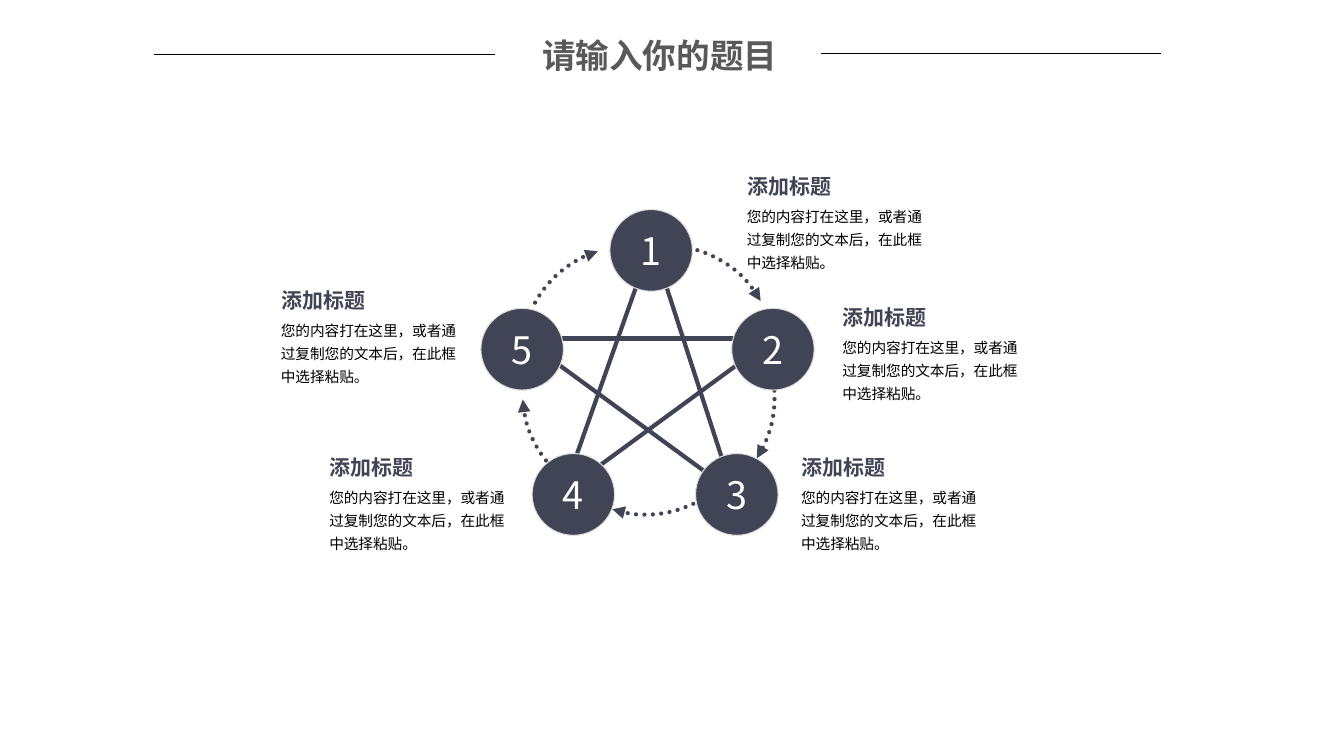
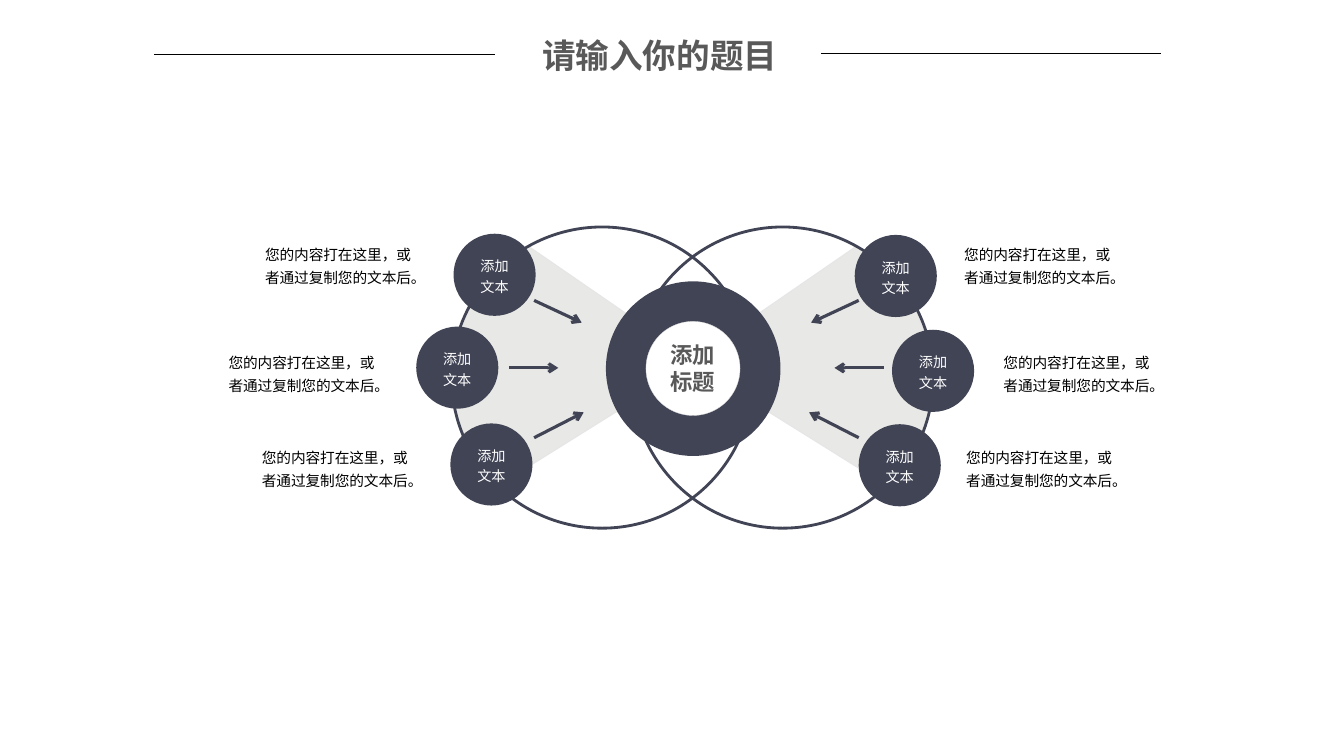
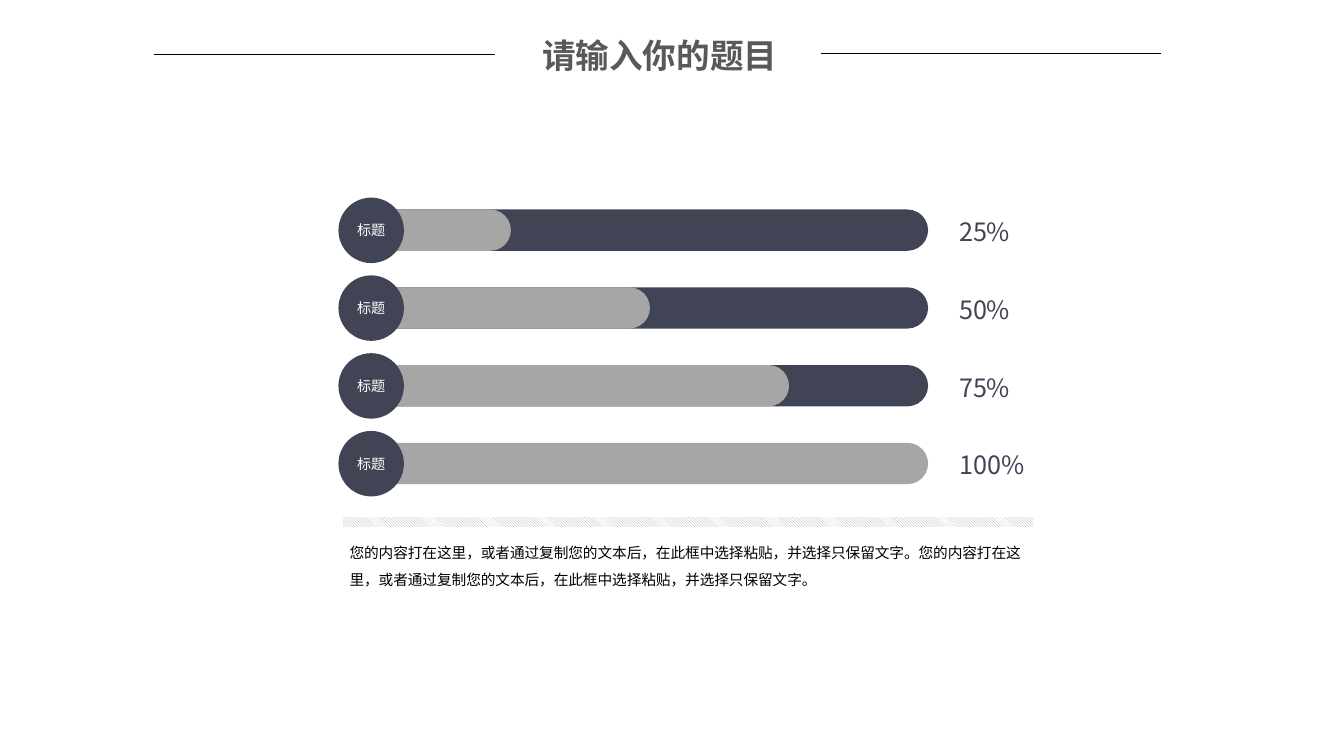
"""Build three diagram slides: a star cycle, two joined rings and progress bars."""
from math import atan2, degrees

from lxml.etree import SubElement
from pptx import Presentation
from pptx.dml.color import RGBColor
from pptx.enum.dml import MSO_LINE, MSO_PATTERN
from pptx.enum.shapes import MSO_CONNECTOR, MSO_SHAPE
from pptx.enum.text import MSO_ANCHOR, PP_ALIGN
from pptx.oxml.ns import qn
from pptx.shapes.connector import Connector
from pptx.util import Cm, Pt

COLOR = {
    "navy": "414455", "gray": "A6A6A6", "text": "595959", "black": "000000",
    "white": "FFFFFF", "rim": "DDDDDD", "hub": "D7D7D7", "fan": "E8E8E6", "hem": "E6E6E6",
}
FONT = "Noto Sans CJK SC"


def paint(shape, fill=None, edge=None, width=0, arrow=None):
    if not isinstance(shape, Connector):
        if fill:
            shape.fill.solid()
            shape.fill.fore_color.rgb = RGBColor.from_string(COLOR[fill])
        else:
            shape.fill.background()
    if edge:
        shape.line.color.rgb = RGBColor.from_string(COLOR[edge])
        shape.line.width = Pt(width)
    else:
        shape.line.fill.background()
    spot = shape._element.spPr
    if arrow:
        SubElement(spot.find(qn("a:ln")), qn("a:tailEnd"), type=arrow)
    SubElement(spot, qn("a:effectLst"))
    return shape


def write(shape, text, size, color, bold=False, align=PP_ALIGN.LEFT,
          anchor=MSO_ANCHOR.TOP, wrap=True, space=1.0, face=FONT):
    frame = shape.text_frame
    frame.text = text
    frame.word_wrap = wrap
    frame.vertical_anchor = anchor
    line = frame.paragraphs[0]
    line.alignment = align
    line.line_spacing = space
    run = line.runs[0]
    run.font.size = Pt(size)
    run.font.bold = bold
    run.font.name = face
    run.font.color.rgb = RGBColor.from_string(COLOR[color])
    mark = run._r.get_or_add_rPr()
    mark.set("lang", "zh-CN")
    SubElement(mark, qn("a:ea"), typeface=FONT)


deck = Presentation()
deck.slide_width, deck.slide_height = Cm(33.87), Cm(19.05)
layout = deck.slide_layouts[5]
slides = [deck.slides.add_slide(layout) for _ in range(3)]
for slide in slides:
    title = slide.shapes.title
    title.left, title.top, title.width, title.height = Cm(13.41), Cm(0.74), Cm(7.21), Cm(1.27)
    write(title, "请输入你的题目", 24, "text", bold=True, wrap=False)

star, rings, bars = [slide.shapes for slide in slides]
for left, right, top in [(3.89, 12.47, 1.37), (20.7, 29.26, 1.35)]:
    rule = star.add_connector(MSO_CONNECTOR.STRAIGHT, Cm(left), Cm(top), Cm(right), Cm(top))
    paint(rule, edge="black", width=0.5)
    layout.shapes._spTree.append(rule._element)

arcs = [(16.79, 8.92, 2.73, 286.7), (16.64, 10.01, 2.88, 348.3), (16.28, 10.24, 2.73, 64.1),
        (15.9, 9.91, 2.73, 132.7), (15.88, 8.94, 2.73, 208.7)]
sweep = 44
for x, y, radius, start in arcs:
    arc = star.add_shape(MSO_SHAPE.ARC, Cm(x - radius), Cm(y - radius), Cm(2 * radius), Cm(2 * radius))
    arc.adjustments[0] = start * 0.6
    arc.adjustments[1] = (start + sweep) % 360 * 0.6
    paint(arc, edge="navy", width=3, arrow="triangle")
    arc.line.dash_style = MSO_LINE.ROUND_DOT
    arc._element.spPr.find(qn("a:ln")).set("cap", "rnd")

tips = [(16.43, 6.1), (19.48, 8.53), (18.47, 12.4), (14.2, 12.4), (13.18, 8.53)]
for i, tip in enumerate(tips):
    ends = tip + tips[(i + 2) % len(tips)]
    paint(star.add_connector(MSO_CONNECTOR.STRAIGHT, *map(Cm, ends)), edge="navy", width=3)

nodes = [(15.37, 5.28, 18.57, 4.98), (18.44, 7.77, 20.98, 8.28), (17.53, 11.43, 19.94, 12.07),
         (13.41, 11.43, 8.05, 12.07), (12.12, 7.77, 6.83, 7.85)]
for number, (x, y, left, top) in enumerate(nodes, 1):
    node = star.add_shape(MSO_SHAPE.OVAL, Cm(x), Cm(y), Cm(2.08), Cm(2.06))
    paint(node, "navy", "rim", 0.75)
    write(node, str(number), 27, "white", align=PP_ALIGN.CENTER, anchor=MSO_ANCHOR.MIDDLE, wrap=False)
    body = star.add_textbox(Cm(left), Cm(top), Cm(5.11), Cm(2.01))
    write(body, "您的内容打在这里，或者通过复制您的文本后，在此框中选择粘贴。", 10.5, "black", space=1.3)
    head = star.add_textbox(Cm(left), Cm(top - 0.74), Cm(2.64), Cm(0.89))
    write(head, "添加标题", 15, "navy", bold=True, align=PP_ALIGN.CENTER, wrap=False)

fan = [(22.99, 7.59), (22.4, 6.82), (21.59, 6.2), (17.35, 9.12), (22.35, 12.24),
       (23.04, 11.29), (23.37, 10.58), (23.47, 10.01), (23.52, 9.45), (23.34, 8.48)]
for points in (fan, [(34.9 - x, y) for x, y in fan]):
    points = [(Cm(x), Cm(y)) for x, y in points]
    pen = rings.build_freeform(*points[0])
    pen.add_line_segments(points[1:])
    paint(pen.convert_to_shape(), "fan", "hem", 0.75)

for left in (11.38, 15.93):
    paint(rings.add_shape(MSO_SHAPE.OVAL, Cm(left), Cm(5.72), Cm(7.59), Cm(7.59)), edge="navy", width=2)

for x1, y1, x2, y2 in [(13.46, 7.57, 14.66, 8.13), (12.83, 9.27, 14.07, 9.27), (13.46, 11.03, 14.71, 10.39)]:
    for ends in [(x1, y1, x2, y2), (35.1 - x1, y1, 35.1 - x2, y2)]:
        arrow = rings.add_connector(MSO_CONNECTOR.STRAIGHT, *map(Cm, ends))
        paint(arrow, edge="navy", width=2.25, arrow="arrow")

paint(rings.add_shape(MSO_SHAPE.OVAL, Cm(15.27), Cm(7.09), Cm(4.4), Cm(4.4)), "navy")
hub = paint(rings.add_shape(MSO_SHAPE.OVAL, Cm(16.28), Cm(8.1), Cm(2.37), Cm(2.37)), "white", "hub", 0.25)
write(hub, "添加标题", 16, "text", bold=True, align=PP_ALIGN.CENTER, anchor=MSO_ANCHOR.MIDDLE)

discs = [(11.43, 5.89, 6.43, 5.94), (10.49, 8.23, 5.51, 8.66), (11.35, 10.67, 6.35, 11.05),
         (21.54, 5.92, 24.05, 5.94), (22.48, 8.31, 25.04, 8.66), (21.64, 10.69, 24.1, 11.05)]
for x, y, left, top in discs:
    disc = paint(rings.add_shape(MSO_SHAPE.OVAL, Cm(x), Cm(y), Cm(2.07), Cm(2.07)), "navy")
    write(disc, "添加文本", 10.1, "white", align=PP_ALIGN.CENTER, anchor=MSO_ANCHOR.MIDDLE,
          space=1.2, face="Arial")
    body = rings.add_textbox(Cm(left), Cm(top), Cm(4.47), Cm(1.42))
    write(body, "您的内容打在这里，或者通过复制您的文本后。", 10.5, "black", space=1.3)

full = 14.02
for row, share in enumerate([25, 50, 75, 100]):
    top = 5.28 + row * 1.96
    layers = [(100, "navy"), (share, "gray")] if share < 100 else [(share, "gray")]
    for part, color in layers:
        bar = bars.add_shape(MSO_SHAPE.ROUNDED_RECTANGLE, Cm(9.37), Cm(top), Cm(full * part / 100), Cm(1.04))
        bar.adjustments[0] = 0.5
        paint(bar, color)
    label = bars.add_textbox(Cm(23.9), Cm(top + 0.05), Cm(2.21 if share == 100 else 1.83), Cm(1.02))
    write(label, f"{share}%", 18, "navy", align=PP_ALIGN.CENTER, wrap=False)
    badge = paint(bars.add_shape(MSO_SHAPE.OVAL, Cm(8.53), Cm(top - 0.3), Cm(1.65), Cm(1.65)), "navy")
    write(badge, "标题", 10.1, "white", align=PP_ALIGN.CENTER, anchor=MSO_ANCHOR.MIDDLE)
    badge.text_frame.margin_left = badge.text_frame.margin_right = Cm(0.1)

note = bars.add_textbox(Cm(8.56), Cm(13.36), Cm(17.68), Cm(1.6))
write(note, "您的内容打在这里，或者通过复制您的文本后，在此框中选择粘贴，并选择只保留文字。"
      "您的内容打在这里，或者通过复制您的文本后，在此框中选择粘贴，并选择只保留文字。", 10.5, "black", space=1.5)
strip = paint(bars.add_shape(MSO_SHAPE.RECTANGLE, Cm(8.64), Cm(13.03), Cm(17.4), Cm(0.25)))
strip.fill.patterned()
strip.fill.pattern = MSO_PATTERN.DARK_DOWNWARD_DIAGONAL
strip.fill.fore_color.rgb = RGBColor.from_string(COLOR["gray"])
strip.fill.back_color.rgb = RGBColor.from_string(COLOR["white"])

deck.save("out.pptx")
